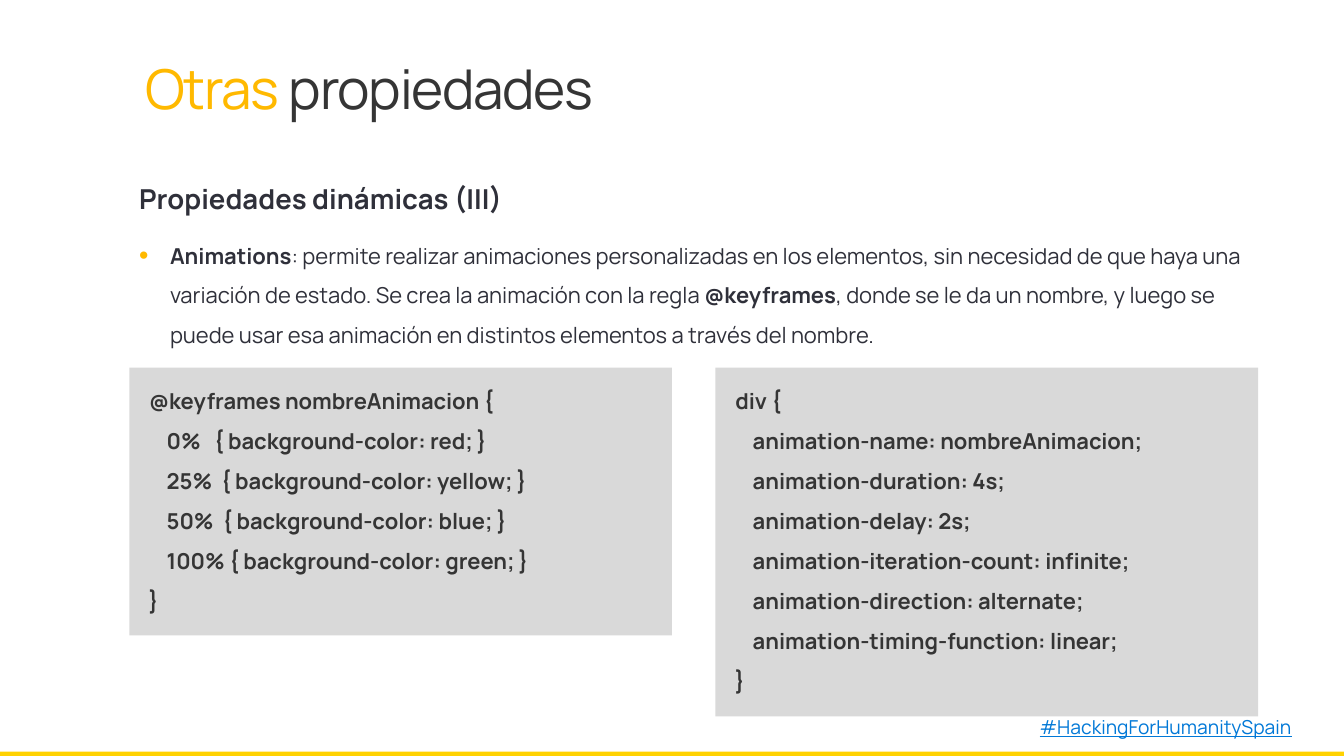
"""Build a slide on CSS animations with two code panels."""
from dataclasses import dataclass

from lxml import etree
from pptx import Presentation
from pptx import util as u
from pptx.dml.color import RGBColor
from pptx.enum import shapes, text
from pptx.oxml.ns import qn

Pt = u.Pt


@dataclass(frozen=True)
class Theme:
    """Colours, font and type sizes."""
    font: str = "Manrope"
    accent: str = "FFB900"
    bar: str = "FFD200"
    ink: str = "353535"
    body: str = "2F303A"
    panel: str = "D9D9D9"
    link: str = "0078D7"
    title_size: int = 40
    heading_size: int = 20
    body_size: int = 16
    tag_size: int = 14


class SlideBuilder:
    """Hold the theme and the current slide."""

    def __init__(self, prs, theme):
        """Add a blank slide."""
        self.theme = theme
        self.slide = prs.slides.add_slide(prs.slide_layouts[6])

    def rect(self, x, y, w, h, color):
        """Add a plain filled rectangle."""
        sp = self.slide.shapes.add_shape(
            shapes.MSO_SHAPE.RECTANGLE, Pt(x), Pt(y), Pt(w), Pt(h))
        sp.shadow.inherit = False
        sp.fill.solid()
        sp.fill.fore_color.rgb = RGBColor.from_string(color)
        sp.line.fill.background()
        return sp

    def frame(self, sp, side, edge):
        """Set up wrapping and margins and return the text frame."""
        tf = sp.text_frame
        tf.word_wrap = True
        tf.vertical_anchor = text.MSO_ANCHOR.TOP
        tf.margin_left = tf.margin_right = Pt(side)
        tf.margin_top = tf.margin_bottom = Pt(edge)
        return tf

    def textbox(self, x, y, w, h, side=7.2, edge=3.6):
        """Add a text box and return its text frame."""
        sp = self.slide.shapes.add_textbox(Pt(x), Pt(y), Pt(w), Pt(h))
        return self.frame(sp, side, edge)

    def paragraph(self, tf, spacing=1.0, before=0):
        """Use the empty first paragraph or append another one."""
        first = tf.paragraphs[0]
        p = tf.add_paragraph() if first.runs else first
        p.alignment = text.PP_ALIGN.LEFT
        p.line_spacing = spacing
        p.space_before = Pt(before)
        return p

    def run(self, p, words, size, color, bold=False):
        """Append one styled run."""
        r = p.add_run()
        r.text = words
        r.font.name = self.theme.font
        r.font.size = Pt(size)
        r.font.bold = bold
        r.font.color.rgb = RGBColor.from_string(color)
        return r

    def bullet(self, p, indent):
        """Give a paragraph an accent bullet with a hanging indent."""
        ppr = p._p.get_or_add_pPr()
        ppr.set("marL", str(Pt(indent)))
        ppr.set("indent", str(-Pt(indent)))
        color = etree.SubElement(ppr, qn("a:buClr"))
        etree.SubElement(color, qn("a:srgbClr"), val=self.theme.accent)
        etree.SubElement(ppr, qn("a:buSzPct"), val="122000")
        etree.SubElement(ppr, qn("a:buFont"), typeface="Arial")
        etree.SubElement(ppr, qn("a:buChar"), char="•")

    def code_panel(self, x, y, w, h, code):
        """Add a grey panel with one paragraph per code line."""
        tf = self.frame(self.rect(x, y, w, h, self.theme.panel), 14.4, 14.4)
        for i, line in enumerate(code):
            p = self.paragraph(tf, before=10 if i else 0)
            self.run(p, line, self.theme.body_size, self.theme.ink, True)

    def title(self, accent, rest):
        """Add the two-colour title."""
        t = self.theme
        p = self.paragraph(self.textbox(94.3, 38.2, 733, 72, 11.5, 7.2), 0.9)
        for words, color in ((accent, t.accent), (rest, t.ink)):
            r = self.run(p, words, t.title_size, color)
            r.font._element.set("spc", "-100")

    def body(self, heading, parts):
        """Add the heading and a bullet whose parts alternate bold and plain."""
        t = self.theme
        tf = self.textbox(94.3, 117.4, 833, 138.2)
        self.run(self.paragraph(tf, 1.5), heading, t.heading_size, t.body, True)
        p = self.paragraph(tf, 1.5, 10)
        self.bullet(p, 22.5)
        for i, words in enumerate(parts):
            self.run(p, words, t.body_size, t.body, i % 2 == 0)

    def hashtag(self, words):
        """Add the underlined hashtag."""
        t = self.theme
        p = self.paragraph(self.textbox(743, 515.5, 229.7, 38.9, 14.4, 11.5), 0.9)
        p.space_after = Pt(6)
        self.run(p, words, t.tag_size, t.link).font.underline = True


KEYFRAMES = [
    "@keyframes nombreAnimacion {",
    "    0%   { background-color: red; }",
    "    25%  { background-color: yellow; }",
    "    50%  { background-color: blue; }",
    "    100% { background-color: green; }",
    "}",
]
DIV_RULE = [
    "div {",
    "    animation-name: nombreAnimacion;",
    "    animation-duration: 4s;",
    "    animation-delay: 2s;",
    "    animation-iteration-count: infinite;",
    "    animation-direction: alternate;",
    "    animation-timing-function: linear;",
    "}",
]
ANIMATIONS = [
    "Animations",
    ": permite realizar animaciones personalizadas en los elementos, sin "
    "necesidad de que haya una variación de estado. Se crea la animación "
    "con la regla ",
    "@keyframes",
    ", donde se le da un nombre, y luego se puede usar esa animación en "
    "distintos elementos a través del nombre.",
]


def main():
    """Build and save the slide."""
    prs = Presentation()
    prs.slide_width, prs.slide_height = Pt(979.2), Pt(550.8)
    theme = Theme()
    s = SlideBuilder(prs, theme)
    s.rect(0, 547.6, 979.2, 3.2, theme.bar)
    s.body("Propiedades dinámicas (III)", ANIMATIONS)
    s.title("Otras ", "propiedades")
    s.code_panel(94.3, 267.8, 395.3, 195.1, KEYFRAMES)
    s.code_panel(521.3, 267.8, 395.3, 254.2, DIV_RULE)
    s.hashtag("#HackingForHumanitySpain")
    prs.save("out.pptx")


if __name__ == "__main__":
    main()
